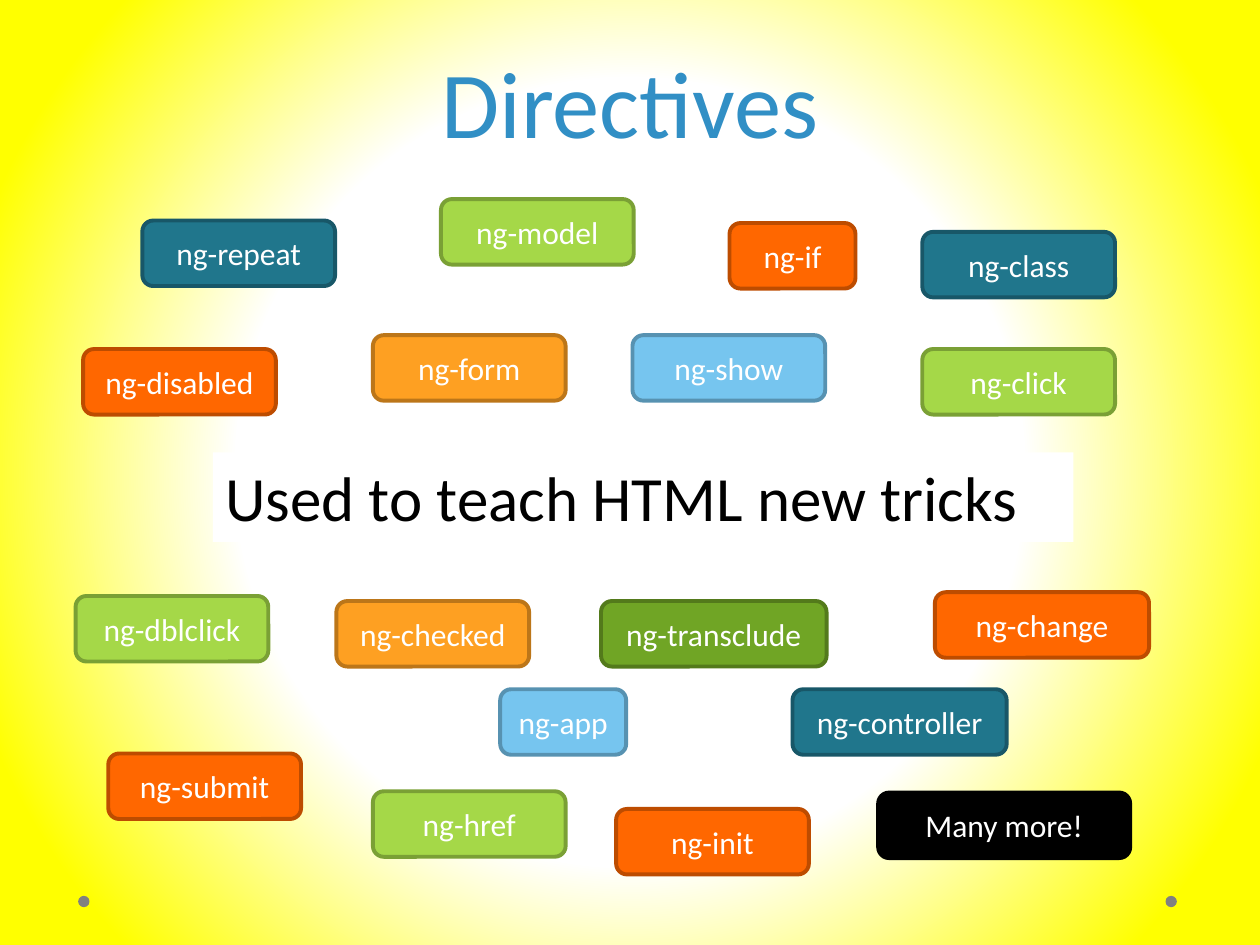
from pptx import Presentation
from pptx.dml.color import RGBColor
from pptx.enum.shapes import MSO_SHAPE as Shape
from pptx.enum.text import MSO_ANCHOR as Anchor, PP_ALIGN as Align
from pptx.oxml.ns import qn
from pptx.util import Inches, Pt
from lxml.etree import SubElement

COLORS = {
    "white": "FFFFFF", "yellow": "FFFF00", "black": "000000",
    "gray": "808080", "title": "318FC5",
    "teal": "20768C", "teal_edge": "185768",
    "lime": "A5D848", "lime_edge": "7AA035",
    "red": "FF6700", "red_edge": "BD4C00",
    "amber": "FEA022", "amber_edge": "BC7619",
    "sky": "76C5EF", "sky_edge": "5792B1",
    "green": "70A525", "green_edge": "537A1B",
    "black_edge": "000000",
}


def color(name):
    return RGBColor.from_string(COLORS[name])


class DirectivesSlide:
    FONT = "Calibri"
    COLUMNS, ROWS = 100, 75
    CHIP_ROWS = 5.2

    def __init__(self, deck):
        self.column = deck.slide_width / self.COLUMNS
        self.row = deck.slide_height / self.ROWS
        self.slide = deck.slides.add_slide(deck.slide_layouts[6])

    def box(self, left, top, width, height):
        return (round(left * self.column), round(top * self.row),
                round(width * self.column), round(height * self.row))

    def glow(self, stops):
        fill = self.slide.background.fill
        fill.gradient()
        for stop, (position, name) in zip(fill.gradient_stops, stops):
            stop.position = position
            stop.color.rgb = color(name)
        gradient = self.slide.element.find(".//" + qn("a:gradFill"))
        gradient.remove(gradient.find(qn("a:lin")))
        circle = SubElement(gradient, qn("a:path"))
        circle.set("path", "circle")
        center = SubElement(circle, qn("a:fillToRect"))
        for side in "ltrb":
            center.set(side, "50000")

    def set_text(self, shape, text, size, ink, anchor=Anchor.MIDDLE, **paragraph_format):
        frame = shape.text_frame
        frame.word_wrap = True
        frame.vertical_anchor = anchor
        paragraph = frame.paragraphs[0]
        run = paragraph.add_run()
        run.text = text
        for name, value in paragraph_format.items():
            setattr(paragraph, name, value)
        for name, value in {"name": self.FONT, "size": Pt(size)}.items():
            setattr(run.font, name, value)
        run.font.color.rgb = color(ink)

    def text(self, area, text, size, ink, fill=None, **text_format):
        label = self.slide.shapes.add_textbox(*self.box(*area))
        if fill:
            label.fill.solid()
            label.fill.fore_color.rgb = color(fill)
        self.set_text(label, text, size, ink, **text_format)

    def shape(self, kind, area, fill, edge=None):
        shape = self.slide.shapes.add_shape(kind, *self.box(*area))
        shape.shadow.inherit = False
        shape.fill.solid()
        shape.fill.fore_color.rgb = color(fill)
        if edge:
            shape.line.color.rgb = color(edge)
            shape.line.width = Pt(2.25)
        else:
            shape.line.fill.background()
        return shape

    def dot(self, left, top):
        self.shape(Shape.OVAL, (left, top, 0.9, 0.9), "gray")

    def chip(self, text, hue, left, top, width=15.3):
        area = (left, top, width, self.CHIP_ROWS)
        chip = self.shape(Shape.ROUNDED_RECTANGLE, area, hue, hue + "_edge")
        self.set_text(chip, text, 18, "white", alignment=Align.CENTER)


deck = Presentation()
deck.slide_width, deck.slide_height = Inches(10), Inches(7.5)
page = DirectivesSlide(deck)

page.glow([(0.5, "white"), (0.88, "yellow")])
for dot_left in (92.5, 6.2):
    page.dot(dot_left, 71.1)

page.text((5, -4.5, 90, 17.5), "Directives", 54, "title", anchor=Anchor.BOTTOM,
          alignment=Align.CENTER, line_spacing=Pt(58))
page.text((16.9, 35.9, 68.3, 7.1), "Used to teach HTML new tricks", 36, "black",
          fill="white", anchor=Anchor.TOP)

directives = [
    ("ng-repeat", "teal", 11.3, 17.5),
    ("ng-model", "lime", 35, 15.8),
    ("ng-if", "red", 57.9, 17.7, 10),
    ("ng-class", "teal", 73.2, 18.4),
    ("ng-disabled", "red", 6.6, 27.7),
    ("ng-form", "amber", 29.6, 26.6),
    ("ng-show", "sky", 50.2, 26.6),
    ("ng-click", "lime", 73.2, 27.7),
    ("ng-dblclick", "lime", 6, 47.3),
    ("ng-checked", "amber", 26.7, 47.7),
    ("ng-transclude", "green", 47.7, 47.7, 17.9),
    ("ng-change", "red", 74.2, 47, 17),
    ("ng-app", "sky", 39.7, 54.7, 10),
    ("ng-controller", "teal", 62.9, 54.7, 17),
    ("ng-submit", "red", 8.6, 59.8),
    ("ng-href", "lime", 29.6, 62.8),
    ("ng-init", "red", 48.9, 64.2),
    ("Many more!", "black", 69.7, 62.9, 20),
]
for directive in directives:
    page.chip(*directive)

deck.save("out.pptx")
